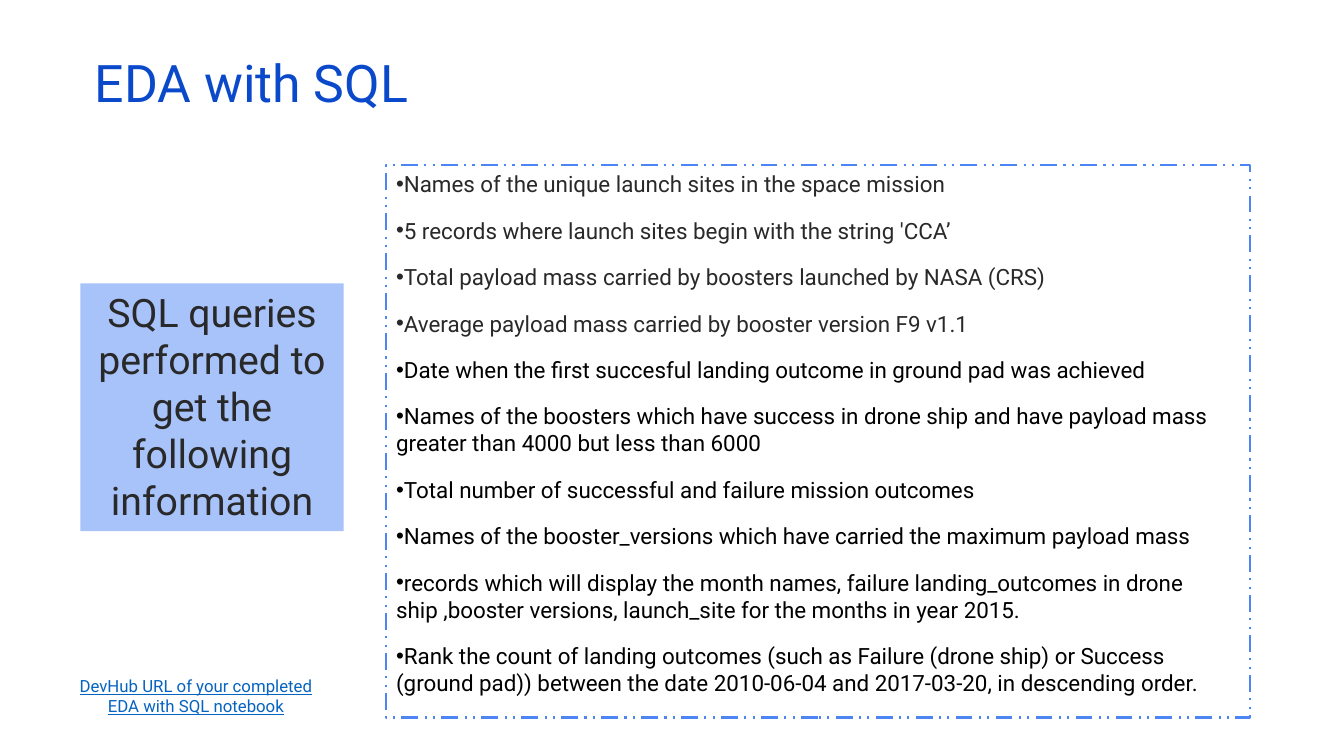
from pptx import Presentation
from pptx.dml.color import RGBColor
from pptx.enum.dml import MSO_LINE
from pptx.enum.shapes import MSO_SHAPE
from pptx.enum.text import MSO_ANCHOR, MSO_AUTO_SIZE, PP_ALIGN
from pptx.oxml.ns import qn
from pptx.util import Pt
from lxml import etree

LEFT, CENTER = PP_ALIGN.LEFT, PP_ALIGN.CENTER
TOP, MIDDLE = MSO_ANCHOR.TOP, MSO_ANCHOR.MIDDLE
NO_FIT = MSO_AUTO_SIZE.NONE
DASH = MSO_LINE.DASH_DOT_DOT
RECT = MSO_SHAPE.RECTANGLE

FONT = "Roboto"
TITLE_BLUE = RGBColor(0x0B, 0x49, 0xCB)
BORDER_BLUE = RGBColor(0x4D, 0x85, 0xF5)
PANEL_BLUE = RGBColor(0xA8, 0xC3, 0xFA)
LINK_BLUE = RGBColor(0x05, 0x63, 0xC1)
CHARCOAL = RGBColor(0x29, 0x29, 0x29)
BLACK = RGBColor(0x00, 0x00, 0x00)

QUERIES = [
    ("Names of the unique launch sites in the space mission", CHARCOAL),
    ("5 records where launch sites begin with the string 'CCA’", CHARCOAL),
    ("Total payload mass carried by boosters launched by NASA (CRS)", CHARCOAL),
    ("Average payload mass carried by booster version F9 v1.1", CHARCOAL),
    ("Date when the first succesful landing outcome in ground pad was achieved", BLACK),
    ("Names of the boosters which have success in drone ship and have payload mass "
     "greater than 4000 but less than 6000", BLACK),
    ("Total number of successful and failure mission outcomes", BLACK),
    ("Names of the booster_versions which have carried the maximum payload mass", BLACK),
    ("records which will display the month names, failure landing_outcomes in drone "
     "ship ,booster versions, launch_site for the months in year 2015.", BLACK),
    ("Rank the count of landing outcomes (such as Failure (drone ship) or Success "
     "(ground pad)) between the date 2010-06-04 and 2017-03-20, in descending order.", BLACK),
]


def place(sp, box):
    sp.left, sp.top, sp.width, sp.height = (Pt(v) for v in box)


def set_frame(tf, anchor):
    tf.word_wrap = True
    tf.auto_size = NO_FIT
    tf.vertical_anchor = anchor


def add_run(p, text, size, color, align=LEFT, spacing=1.0):
    p.alignment = align
    p.line_spacing = spacing
    p.space_before = Pt(0)
    r = p.add_run()
    r.text = text
    r.font.name = FONT
    r.font.size = Pt(size)
    r.font.color.rgb = color
    return r


def add_bullet(p):
    pPr = p._p.get_or_add_pPr()
    pPr.set("marL", "0")
    pPr.set("indent", "0")
    etree.SubElement(pPr, qn("a:buFont")).set("typeface", "Arial")
    etree.SubElement(pPr, qn("a:buChar")).set("char", "•")


def fill_title(sp, box):
    place(sp, box)
    set_frame(sp.text_frame, MIDDLE)
    add_run(sp.text_frame.paragraphs[0], "EDA with SQL", 37, TITLE_BLUE, spacing=0.7)


def fill_queries(sp, box):
    place(sp, box)
    sp.line.color.rgb = BORDER_BLUE
    sp.line.width = Pt(1.5)
    sp.line.dash_style = DASH
    tf = sp.text_frame
    set_frame(tf, TOP)
    for i, (text, color) in enumerate(QUERIES):
        p = tf.add_paragraph() if i else tf.paragraphs[0]
        add_bullet(p)
        add_run(p, text, 16, color)
        if i:
            p.space_before = Pt(14)


def add_link_note(s, box):
    tf = s.shapes.add_textbox(*(Pt(v) for v in box)).text_frame
    set_frame(tf, TOP)
    r = add_run(tf.paragraphs[0], "DevHub URL of your completed EDA with SQL notebook",
                12, LINK_BLUE, CENTER)
    r.font.underline = True


def add_summary_panel(s, box):
    sp = s.shapes.add_shape(RECT, *(Pt(v) for v in box))
    sp.shadow.inherit = False
    sp.fill.solid()
    sp.fill.fore_color.rgb = PANEL_BLUE
    sp.line.fill.background()
    set_frame(sp.text_frame, TOP)
    add_run(sp.text_frame.paragraphs[0],
            "SQL queries performed to get the following information",
            28, CHARCOAL, CENTER)


def main():
    prs = Presentation()
    prs.slide_width, prs.slide_height = Pt(960), Pt(540)
    s = prs.slides.add_slide(prs.slide_layouts[1])
    fill_title(s.shapes.title, (60.5, 42.5, 828, 43))
    fill_queries(s.placeholders[1], (275.75, 118, 617, 394.5))
    add_link_note(s, (46, 479, 188, 38))
    add_summary_panel(s, (57.5, 202.5, 188, 177))
    prs.save("out.pptx")


if __name__ == "__main__":
    main()
